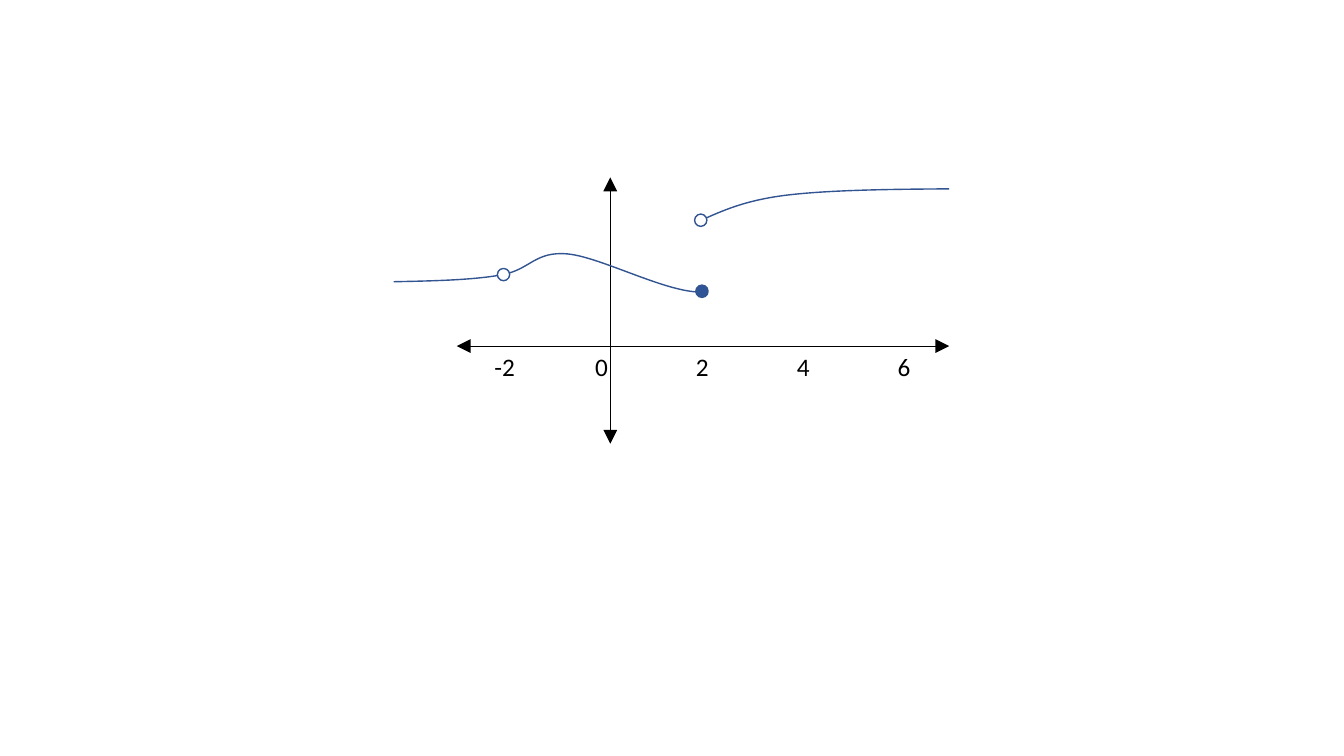
"""Draw a piecewise function with a jump and a hole on a pair of axes."""
from lxml import etree
from pptx import Presentation
from pptx import util as u
from pptx.dml import color
from pptx.enum import shapes, text
from pptx.oxml import ns

BLACK, WHITE, CURVE, DOT = "000000", "FFFFFF", "325491", "2F5597"
DOT_SIZE = 0.31
TICK_GAP = 2.54


def paint(fill, hex_color):
    """Give a fill one solid colour."""
    fill.solid()
    fill.fore_color.rgb = color.RGBColor.from_string(hex_color)


def write(shape, content, size=18, font="Calibri", hex_color=BLACK, tab_gap=TICK_GAP):
    """Put one formatted paragraph with evenly spaced tab stops into a shape."""
    paragraph = shape.text_frame.paragraphs[0]
    tabs = etree.SubElement(paragraph._p.get_or_add_pPr(), ns.qn("a:tabLst"))
    for stop in range(1, content.count("\t") + 1):
        etree.SubElement(tabs, ns.qn("a:tab"), pos=str(u.Cm(stop * tab_gap)), algn="l")
    run = paragraph.add_run()
    run.text = content
    run.font.size = u.Pt(size)
    run.font.name = font
    paint(run.font.fill, hex_color)


presentation = Presentation()
presentation.slide_width = u.Cm(33.87)
presentation.slide_height = u.Cm(19.05)
slide = presentation.slides.add_slide(presentation.slide_layouts[6])

axes = [(11.51, 8.72, 23.92, 8.72), (15.38, 4.47, 15.38, 11.18)]
for ends in axes:
    axis = slide.shapes.add_connector(shapes.MSO_CONNECTOR.STRAIGHT, *map(u.Cm, ends))
    paint(axis.line.fill, BLACK)
    axis.line.width = u.Pt(0.5)
    outline = axis.element.spPr.find(ns.qn("a:ln"))
    for end in ("a:headEnd", "a:tailEnd"):
        etree.SubElement(outline, ns.qn(end), type="triangle", w="lg", len="lg")
    etree.SubElement(axis.element.spPr, ns.qn("a:effectLst"))

labels = slide.shapes.add_textbox(u.Cm(12.21), u.Cm(8.72), u.Cm(12.01), u.Cm(1.03))
labels.text_frame.word_wrap = True
labels.text_frame.auto_size = text.MSO_AUTO_SIZE.SHAPE_TO_FIT_TEXT
write(labels, "\t".join(["-2", "0", "2", "4", "6"]))

right_branch = [(17.65, 5.56), (18.21, 5.31), (18.77, 5.05), (19.81, 4.92),
                (20.88, 4.79), (22.4, 4.77), (23.92, 4.76)]
left_branch = [(9.92, 7.1), (10.9, 7.08), (11.89, 7.06), (12.62, 6.93),
               (13.36, 6.81), (13.47, 6.32), (14.31, 6.4),
               (15.14, 6.48), (16.76, 7.36), (17.65, 7.36)]
for points in (right_branch, left_branch):
    points = [(u.Cm(x), u.Cm(y)) for x, y in points]
    builder = slide.shapes.build_freeform(*points[0])
    builder.add_line_segments(points[3::3], close=False)
    branch = builder.convert_to_shape()
    for index, line in enumerate(list(branch.element.iter(ns.qn("a:lnTo")))):
        curve = etree.Element(ns.qn("a:cubicBezTo"))
        for x, y in points[3 * index + 1:3 * index + 4]:
            etree.SubElement(curve, ns.qn("a:pt"), x=str(x - branch.left), y=str(y - branch.top))
        line.getparent().replace(line, curve)
    branch.shadow.inherit = False
    branch.fill.background()
    paint(branch.line.fill, CURVE)
    branch.line.width = u.Pt(1)

dots = [(17.69, 7.34, DOT), (17.66, 5.55, WHITE), (12.69, 6.92, WHITE)]
for center_x, center_y, fill_color in dots:
    dot = slide.shapes.add_shape(
        shapes.MSO_SHAPE.OVAL, u.Cm(center_x - DOT_SIZE / 2), u.Cm(center_y - DOT_SIZE / 2),
        u.Cm(DOT_SIZE), u.Cm(DOT_SIZE))
    dot.shadow.inherit = False
    paint(dot.fill, fill_color)
    paint(dot.line.fill, CURVE)
    dot.line.width = u.Pt(1)

presentation.save("out.pptx")
